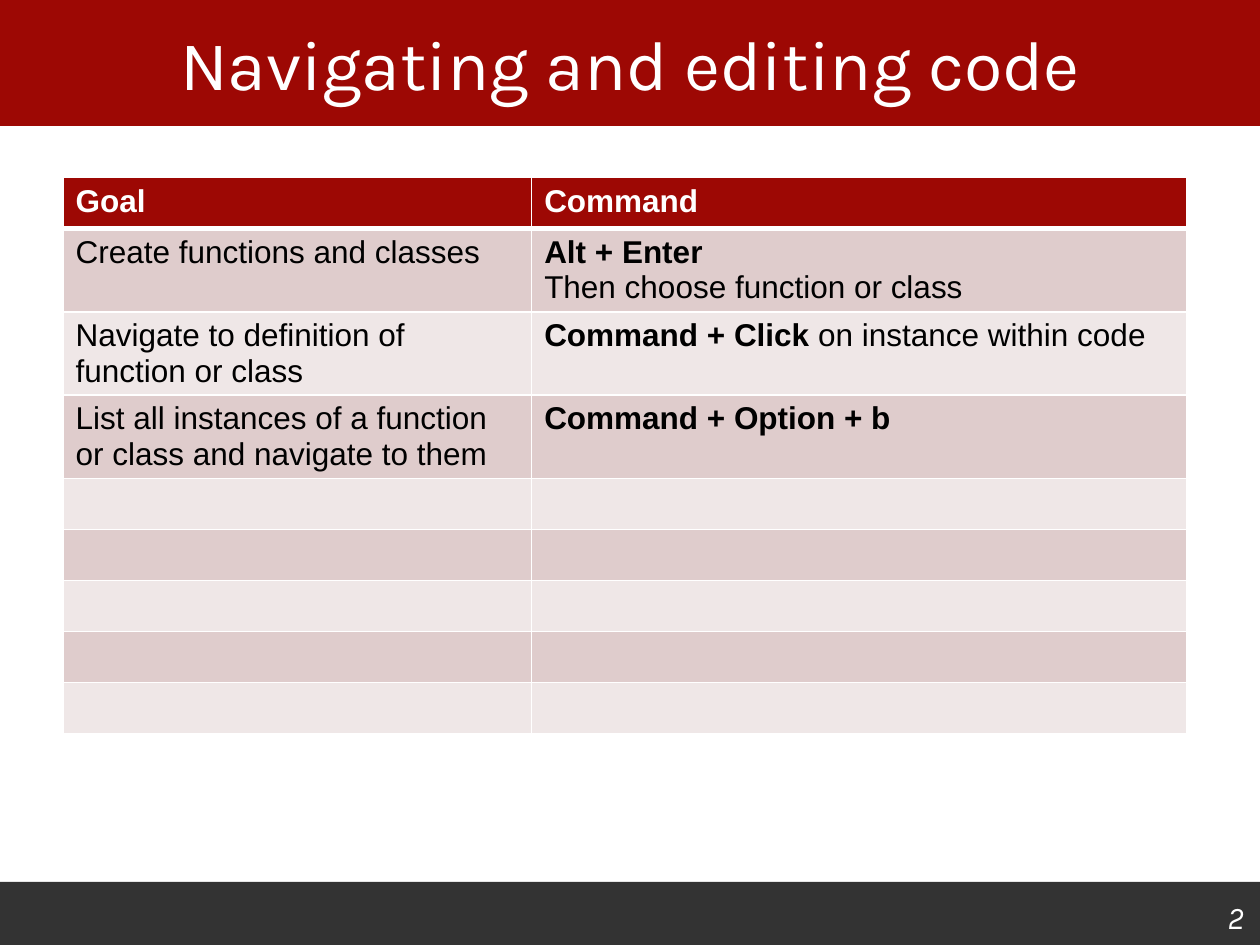
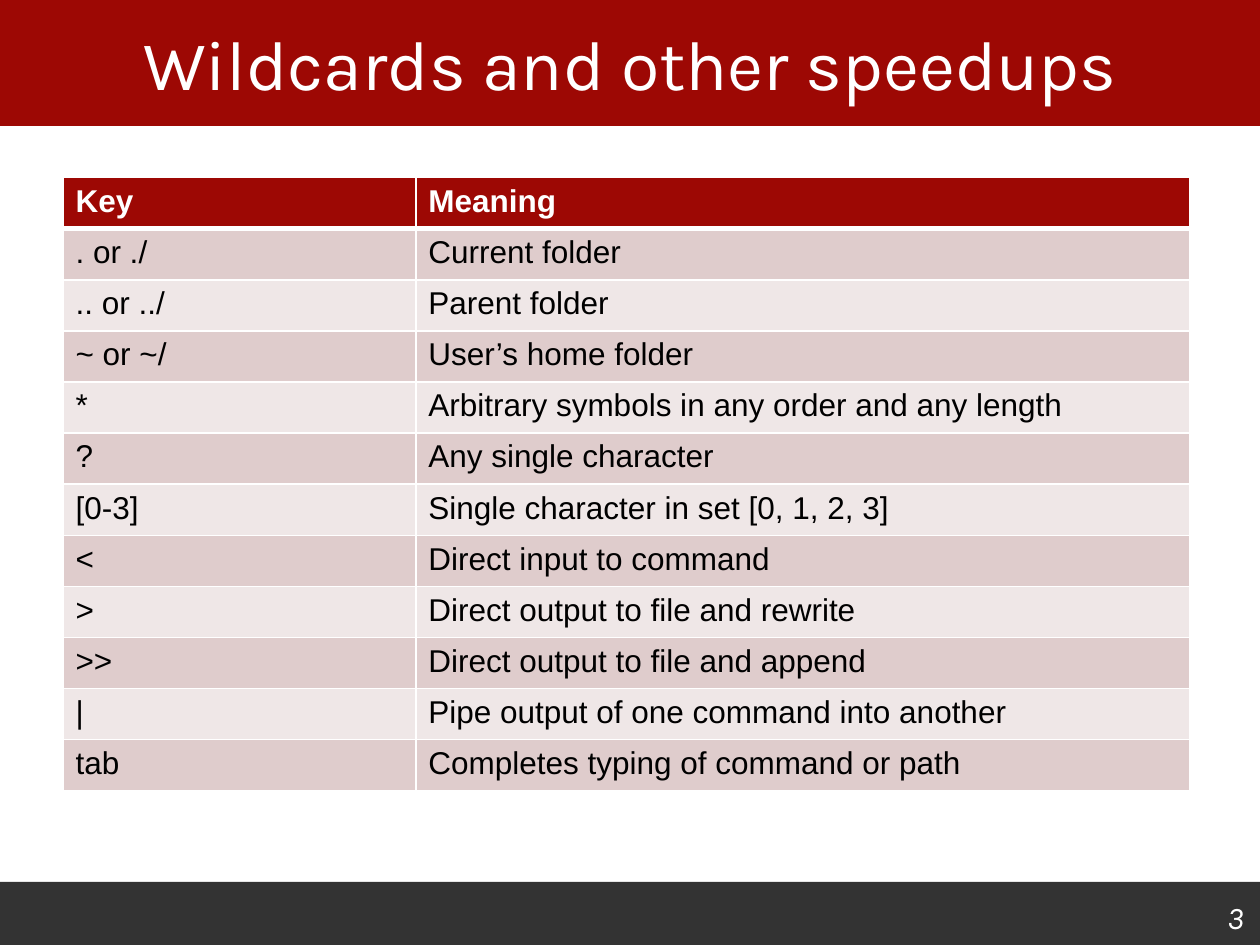
from dataclasses import dataclass

from lxml import etree
from pptx import Presentation, util as u
from pptx.dml.color import RGBColor
from pptx.enum import shapes, text
from pptx.oxml.ns import qn

RED, DARK, WHITE, BLACK = "9D0804", "333333", "FFFFFF", "000000"
BANDS = ("DFCCCC", "EFE7E7")
HEAD_FONT, BODY_FONT = "Karla", "Arial"
SLIDE_W, SLIDE_H = 10, 7.5
TITLE_H, FOOTER_H = 1, 0.5
TABLE_X, TABLE_Y = 0.5, 1.41
ROW_H = 4.87 / 12


@dataclass
class Line:
    """One line of a cell: a bold start, then plain text."""
    bold: str = ""
    plain: str = ""


@dataclass
class TableSlide:
    number: int
    title: str
    widths: tuple[float, float]
    header: tuple[str, str]
    rows: list[tuple[list[Line], list[Line]]]


def rgb(color: str) -> RGBColor:
    return RGBColor.from_string(color)


def set_font(font, name: str, size: float, color: str) -> None:
    font.name, font.size = name, u.Pt(size)
    font.color.rgb = rgb(color)


def add_band(s, top: float, height: float, color: str) -> None:
    sp = s.shapes.add_shape(shapes.MSO_SHAPE.RECTANGLE, 0, u.Inches(top),
                            u.Inches(SLIDE_W), u.Inches(height))
    sp.shadow.inherit = False
    sp.fill.solid()
    sp.fill.fore_color.rgb = rgb(color)
    sp.line.fill.background()


def add_frame(s, number: int, title: str) -> None:
    """Bands, slide number and title, shared by all slides."""
    add_band(s, SLIDE_H - FOOTER_H, FOOTER_H, DARK)
    add_band(s, 0, TITLE_H, RED)

    box = s.shapes.add_textbox(u.Inches(9.05), u.Inches(7.08),
                               u.Inches(0.92), u.Inches(0.4))
    tf = box.text_frame
    tf.word_wrap = True
    tf.vertical_anchor = text.MSO_ANCHOR.BOTTOM
    p = tf.paragraphs[0]
    p.text, p.alignment = str(number), text.PP_ALIGN.RIGHT
    set_font(p.font, HEAD_FONT, 18, WHITE)
    p.font.italic = True

    sp = s.shapes.title
    sp.left, sp.top = 0, 0
    sp.width, sp.height = u.Inches(SLIDE_W), u.Inches(TITLE_H)
    sp.element.getparent().append(sp.element)  # in front of its band
    tf = sp.text_frame
    tf.auto_size = text.MSO_AUTO_SIZE.NONE
    tf.vertical_anchor = text.MSO_ANCHOR.MIDDLE
    p = tf.paragraphs[0]
    p.text, p.alignment = title, text.PP_ALIGN.CENTER
    set_font(p.font, HEAD_FONT, 40, WHITE)


def set_borders(cell, top: float, bottom: float) -> None:
    tc_pr = cell._tc.get_or_add_tcPr()
    for side, width in (("L", 1), ("R", 1), ("T", top), ("B", bottom)):
        ln = etree.SubElement(tc_pr, qn(f"a:ln{side}"), w=str(u.Pt(width)))
        fill = etree.SubElement(ln, qn("a:solidFill"))
        etree.SubElement(fill, qn("a:srgbClr"), val=WHITE)


def fill_cell(cell, lines: list[Line], row: int) -> None:
    # A thick rule separates the header from the body
    set_borders(cell, top=3 if row == 1 else 1, bottom=3 if row == 0 else 1)
    cell.fill.solid()
    cell.fill.fore_color.rgb = rgb(BANDS[(row - 1) % 2] if row else RED)
    tf = cell.text_frame
    for i, line in enumerate(lines):
        p = tf.add_paragraph() if i else tf.paragraphs[0]
        set_font(p.font, BODY_FONT, 18, BLACK if row else WHITE)
        for words, bold in ((line.bold, True), (line.plain, False)):
            if words:
                r = p.add_run()
                r.text, r.font.bold = words, bold


def add_grid(s, content: TableSlide) -> None:
    rows = [tuple([Line(bold=name)] for name in content.header), *content.rows]
    table = s.shapes.add_table(
        len(rows), len(content.widths), u.Inches(TABLE_X), u.Inches(TABLE_Y),
        u.Inches(sum(content.widths)), u.Inches(ROW_H * len(rows))).table
    for column, width in zip(table.columns, content.widths):
        column.width = u.Inches(width)
    for i, row in enumerate(rows):
        table.rows[i].height = u.Inches(ROW_H)
        for j, lines in enumerate(row):
            fill_cell(table.cell(i, j), lines, i)


def plain(words: str) -> list[Line]:
    return [Line(plain=words)]


# Content
editing = TableSlide(
    2, "Navigating and editing code", (3.72, 5.2), ("Goal", "Command"),
    [
        (plain("Create functions and classes"),
         [Line("Alt + Enter"), Line(plain="Then choose function or class")]),
        (plain("Navigate to definition of function or class"),
         [Line("Command + Click", " on instance within code")]),
        (plain("List all instances of a function or class and navigate to them"),
         [Line("Command + Option + b")]),
        *[([], [])] * 5,  # rows left open
    ])

KEYS = {
    ". or ./": "Current folder",
    ".. or ../": "Parent folder",
    "~ or ~/": "User’s home folder",
    "*": "Arbitrary symbols in any order and any length",
    "?": "Any single character",
    "[0-3]": "Single character in set [0, 1, 2, 3]",
    "<": "Direct input to command",
    ">": "Direct output to file and rewrite",
    ">>": "Direct output to file and append",
    "|": "Pipe output of one command into another",
    "tab": "Completes typing of command or path",
}
wildcards = TableSlide(
    3, "Wildcards and other speedups", (2.8, 6.14), ("Key", "Meaning"),
    [(plain(key), plain(meaning)) for key, meaning in KEYS.items()])

# Build
prs = Presentation()
prs.slide_width, prs.slide_height = u.Inches(SLIDE_W), u.Inches(SLIDE_H)
title_only = prs.slide_layouts[5]
for content in (editing, wildcards):
    s = prs.slides.add_slide(title_only)
    add_frame(s, content.number, content.title)
    add_grid(s, content)
prs.save("out.pptx")
